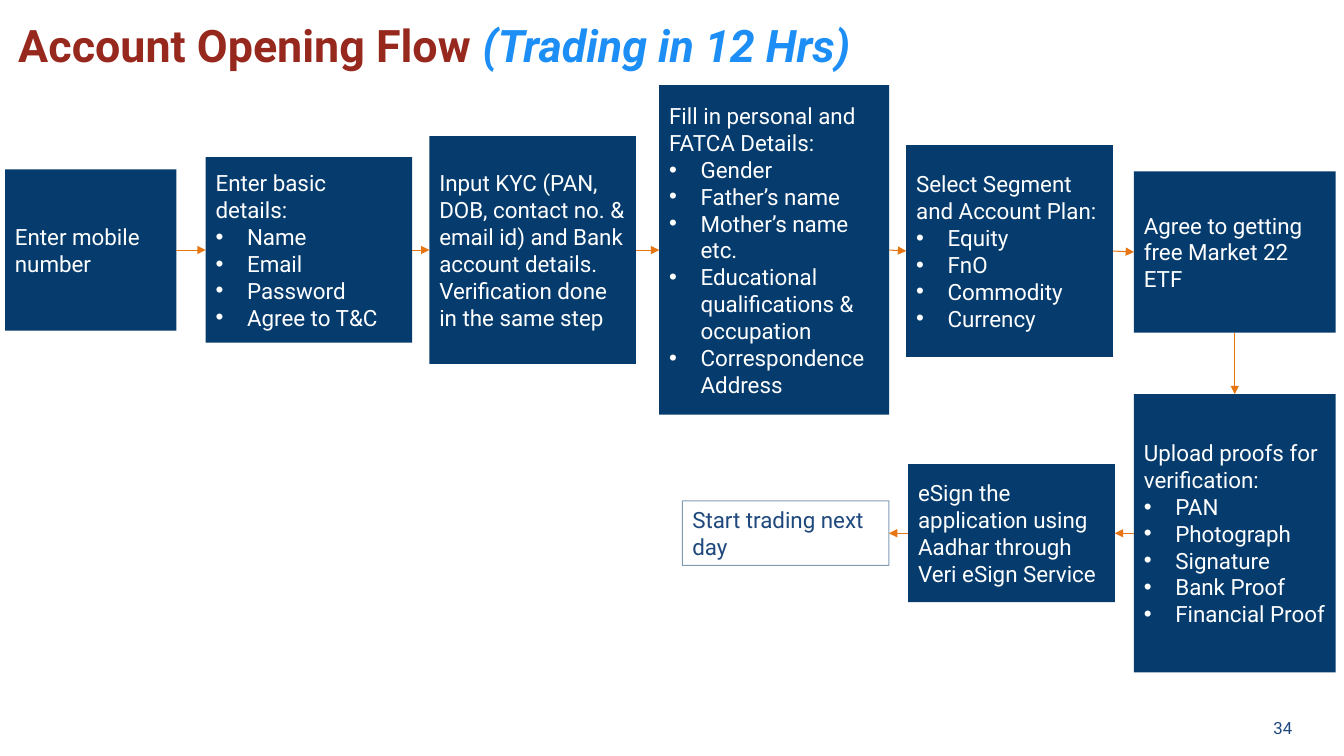
from lxml import etree
from pptx import Presentation
from pptx.dml.color import RGBColor
from pptx.enum import shapes, text
from pptx.oxml.ns import qn
from pptx.util import Pt

FONT = "Roboto"
NAVY, ORANGE, BLUE, WHITE = "053C6D", "E77511", "1F497D", "FFFFFF"
TOP, LEFT, BOTTOM, RIGHT = range(4)

# name: left, vertical centre, width, height, heading, bullets
STEPS = {
    "mobile": (3.6, 178.6, 122.4, 115.2, "Enter mobile number", []),
    "basic": (146.9, 178.6, 147.6, 132.5, "Enter basic details:",
              ["Name", "Email", "Password", "Agree to T&C"]),
    "kyc": (306.7, 178.6, 147.6, 162.7,
            "Input KYC (PAN, DOB, contact no. & email id) and Bank account "
            "details. Verification done in the same step", []),
    "personal": (470.9, 178.6, 164.2, 235.4,
                 "Fill in personal and FATCA Details:",
                 ["Gender", "Father’s name", "Mother’s name etc.",
                  "Educational qualifications & occupation",
                  "Correspondence Address"]),
    "segment": (647.3, 179.3, 147.6, 151.2, "Select Segment and Account Plan:",
                ["Equity", "FnO", "Commodity", "Currency"]),
    "fund": (810, 180, 144, 115.2, "Agree to getting free Market 22 ETF", []),
    "proofs": (810, 380.9, 144, 198.7, "Upload proofs for verification:",
               ["PAN", "Photograph", "Signature", "Bank Proof",
                "Financial Proof"]),
    "esign": (648.7, 380.9, 147.6, 98.6,
              "eSign the application using Aadhar through Veri eSign Service",
              []),
    "trade": (487.4, 380.9, 147.6, 46.1, "Start trading next day", []),
}
# sides left from and entered on the way to the next step
LINKS = [(RIGHT, LEFT)] * 5 + [(BOTTOM, TOP)] + [(LEFT, RIGHT)] * 2


def rgb(value):
    return RGBColor.from_string(value)


def add_run(p, content, size=16, color=WHITE, bold=None, italic=None):
    r = p.add_run()
    r.text = content
    font = r.font
    font.name, font.size = FONT, Pt(size)
    font.bold, font.italic = bold, italic
    font.color.rgb = rgb(color)


def add_bullet(p):
    pPr = p._p.get_or_add_pPr()
    pPr.set("marL", str(Pt(22.5)))
    pPr.set("indent", str(-Pt(22.5)))
    etree.SubElement(pPr, qn("a:buFont"), typeface="Arial")
    etree.SubElement(pPr, qn("a:buChar"), char="•")


def add_step(slide, left, middle, width, height, heading, bullets,
             outlined=False):
    sp = slide.shapes.add_shape(shapes.MSO_SHAPE.RECTANGLE, Pt(left),
                                Pt(middle - height / 2), Pt(width), Pt(height))
    sp.shadow.inherit = False
    tf = sp.text_frame
    tf.word_wrap = True
    if outlined:
        sp.fill.background()
        sp.line.color.rgb = rgb(NAVY)
        sp.line.width = Pt(0.75)
        color = sp.line._ln.find(".//" + qn("a:srgbClr"))
        etree.SubElement(color, qn("a:alpha"), val="50000")
        tf.vertical_anchor = text.MSO_ANCHOR.TOP
    else:
        sp.fill.solid()
        sp.fill.fore_color.rgb = rgb(NAVY)
        sp.line.fill.background()
        tf.vertical_anchor = text.MSO_ANCHOR.MIDDLE
    for i, content in enumerate([heading, *bullets]):
        p = tf.add_paragraph() if i else tf.paragraphs[0]
        p.alignment = text.PP_ALIGN.LEFT
        if i:
            add_bullet(p)
        add_run(p, content, color=BLUE if outlined else WHITE)
    return sp


def add_arrow(slide, start, start_side, end, end_side):
    line = slide.shapes.add_connector(shapes.MSO_CONNECTOR.STRAIGHT, 0, 0, 0, 0)
    line.begin_connect(start, start_side)
    line.end_connect(end, end_side)
    line.line.color.rgb = rgb(ORANGE)
    line.line.width = Pt(0.75)
    etree.SubElement(line.line._ln, qn("a:tailEnd"), type="triangle")
    etree.SubElement(line._element.spPr, qn("a:effectLst"))


def add_title(slide):
    title = slide.shapes.title
    title.left, title.top, title.width, title.height = map(
        Pt, (5.8, 5.8, 941.8, 47.5))
    tf = title.text_frame
    tf.auto_size = text.MSO_AUTO_SIZE.NONE
    tf.vertical_anchor = text.MSO_ANCHOR.TOP
    tf.margin_top = Pt(7)
    p = tf.paragraphs[0]
    p.alignment = text.PP_ALIGN.LEFT
    add_run(p, "Account Opening Flow ", size=32, color="97281D", bold=True)
    add_run(p, "(Trading in 12 Hrs)", size=32, color="1C8EF5", bold=True,
            italic=True)


def add_page_number(slide):
    box = slide.shapes.add_textbox(Pt(882), Pt(505.4), Pt(48.2), Pt(28.8))
    tf = box.text_frame
    tf.word_wrap = True
    tf.vertical_anchor = text.MSO_ANCHOR.MIDDLE
    p = tf.paragraphs[0]
    p.alignment = text.PP_ALIGN.RIGHT
    add_run(p, "34", size=12, color=BLUE)


def main():
    prs = Presentation()
    prs.slide_width, prs.slide_height = Pt(960), Pt(540)
    slide = prs.slides.add_slide(prs.slide_layouts[5])
    add_title(slide)
    steps = [add_step(slide, *step, outlined=name == "trade")
             for name, step in STEPS.items()]
    for start, end, (start_side, end_side) in zip(steps, steps[1:], LINKS):
        add_arrow(slide, start, start_side, end, end_side)
    add_page_number(slide)
    prs.save("out.pptx")


if __name__ == "__main__":
    main()
